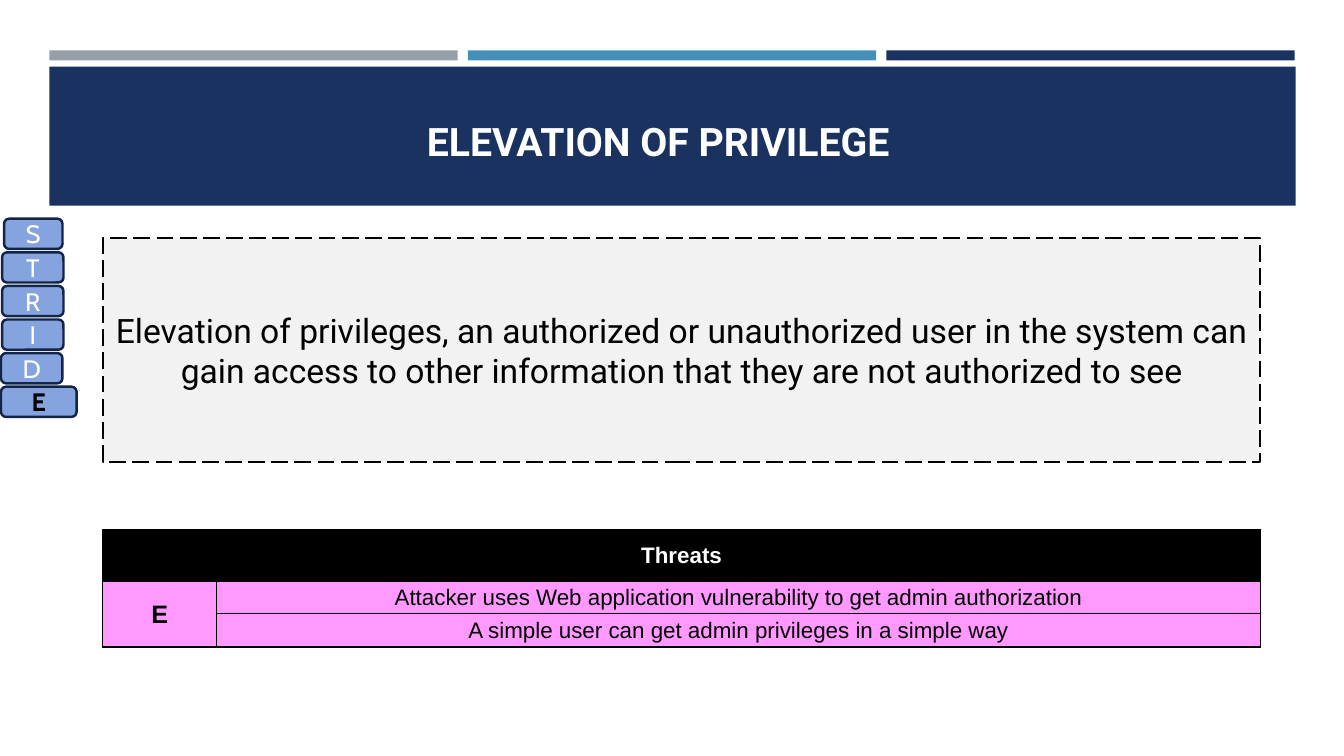
from typing import NamedTuple

from lxml import etree
from pptx import Presentation
from pptx.dml.color import RGBColor
from pptx.enum.dml import MSO_LINE
from pptx.enum.shapes import MSO_SHAPE
from pptx.enum.text import MSO_ANCHOR, PP_ALIGN
from pptx.oxml.ns import qn
from pptx.util import Inches, Pt

RECT = MSO_SHAPE.RECTANGLE
ROUND = MSO_SHAPE.ROUNDED_RECTANGLE
DASH = MSO_LINE.LONG_DASH
MIDDLE, BOTTOM = MSO_ANCHOR.MIDDLE, MSO_ANCHOR.BOTTOM
CENTER, RIGHT = PP_ALIGN.CENTER, PP_ALIGN.RIGHT
NAVY, BLACK, WHITE, PINK = "1A3260", "000000", "FFFFFF", "FF99FF"


class Box(NamedTuple):
    left: float
    top: float
    width: float
    height: float


class Style(NamedTuple):
    face: str
    size: float
    color: str
    bold: bool = False


class Tile(NamedTuple):
    letter: str
    left: float
    width: float
    style: Style


class Entry(NamedTuple):
    row: int
    col: int
    text: str
    style: Style


def paint(target, color: str) -> None:
    target.solid()
    target.fore_color.rgb = RGBColor.from_string(color)


def place(shape, box: Box) -> None:
    shape.left, shape.top, shape.width, shape.height = map(Inches, box)


def write(frame, text: str, style: Style, align=CENTER) -> None:
    frame.text = text
    for para in frame.paragraphs:
        para.alignment = align
        para.font.name = style.face
        para.font.size = Pt(style.size)
        para.font.bold = style.bold
        paint(para.font.fill, style.color)


def add_box(slide, kind, box: Box, fill: str, edge: str = "", weight: float = 0):
    shape = slide.shapes.add_shape(kind, *map(Inches, box))
    shape.shadow.inherit = False
    paint(shape.fill, fill)
    if edge:
        paint(shape.line.fill, edge)
        shape.line.width = Pt(weight)
    else:
        shape.line.fill.background()
    shape.text_frame.word_wrap = True
    shape.text_frame.vertical_anchor = MIDDLE
    return shape


def add_edge(cell, side: str, weight: float) -> None:
    line = etree.SubElement(cell._tc.get_or_add_tcPr(), qn(f"a:ln{side}"), w=str(Pt(weight)))
    fill = etree.SubElement(line, qn("a:solidFill"))
    etree.SubElement(fill, qn("a:srgbClr"), val=BLACK)


def add_head(slide) -> None:
    for step, color in enumerate(("969FA7", "4590B8", NAVY)):
        add_box(slide, RECT, Box(0.49 + 4.15 * step, 0.5, 4.05, 0.1), color)
    add_box(slide, RECT, Box(0.49, 0.66, 12.36, 1.38), NAVY)
    title = slide.shapes.title
    title.element.getparent().append(title.element)
    place(title, Box(3.2, 0.69, 5.72, 0.99))
    title.text_frame.vertical_anchor = BOTTOM
    write(title.text_frame, "ELEVATION OF PRIVILEGE", Style("Roboto", 28, WHITE, True), RIGHT)


def add_tiles(slide) -> None:
    plain = Style("Cabin", 18, WHITE)
    tiles = (
        Tile("S", 0.04, 0.58, plain),
        Tile("T", 0.02, 0.61, plain),
        Tile("R", 0.02, 0.61, plain),
        Tile("I", 0.02, 0.61, plain),
        Tile("D", 0.01, 0.61, plain),
        Tile("E", 0.01, 0.75, Style("Cabin", 18, BLACK, True)),
    )
    for step, tile in enumerate(tiles):
        box = Box(tile.left, 2.17 + step / 3, tile.width, 0.3)
        shape = add_box(slide, ROUND, box, "85A3DE", "132547", 1.75)
        write(shape.text_frame, tile.letter, tile.style)


def add_claim(slide) -> None:
    claim = add_box(slide, RECT, Box(1.02, 2.36, 11.48, 2.22), "F2F2F2", BLACK, 1.5)
    claim.line.dash_style = DASH
    text = (
        "Elevation of privileges, an authorized or unauthorized user in the system "
        "can gain access to other information that they are not authorized to see"
    )
    write(claim.text_frame, text, Style("Roboto", 24, BLACK))


def add_threats(slide) -> None:
    body = Style("Arial", 16, BLACK)
    entries = (
        Entry(0, 0, "Threats", Style("Arial", 16, WHITE, True)),
        Entry(1, 0, "E", Style("Arial", 18, BLACK, True)),
        Entry(1, 1, "Attacker uses Web application vulnerability to get admin authorization", body),
        Entry(2, 1, "A simple user can get admin privileges in a simple way", body),
    )
    area = Box(1.02, 5.25, 11.48, 1.17)
    table = slide.shapes.add_table(3, 2, *map(Inches, area)).table
    for col, width in zip(table.columns, (1.13, 10.35)):
        col.width = Inches(width)
    for row, height in zip(table.rows, (0.52, 0.32, 0.33)):
        row.height = Inches(height)
    for row in range(3):
        for col in range(2):
            cell = table.cell(row, col)
            cell.margin_left = cell.margin_right = cell.margin_top = Inches(0.01)
            cell.margin_bottom = 0
            cell.vertical_anchor = MIDDLE
            top = 0.5 if (row, col) == (2, 1) else 1
            base = 0.5 if (row, col) == (1, 1) else 1
            for side, weight in (("L", 1), ("R", 1), ("T", top), ("B", base)):
                add_edge(cell, side, weight)
            paint(cell.fill, PINK if row else BLACK)
    table.cell(0, 0).merge(table.cell(0, 1))
    table.cell(1, 0).merge(table.cell(2, 0))
    for entry in entries:
        write(table.cell(entry.row, entry.col).text_frame, entry.text, entry.style)


def main() -> None:
    deck = Presentation()
    deck.slide_width, deck.slide_height = Inches(13.33), Inches(7.5)
    slide = deck.slides.add_slide(deck.slide_layouts[5])
    paint(slide.background.fill, WHITE)
    add_head(slide)
    add_tiles(slide)
    add_claim(slide)
    add_threats(slide)
    deck.save("out.pptx")


if __name__ == "__main__":
    main()
